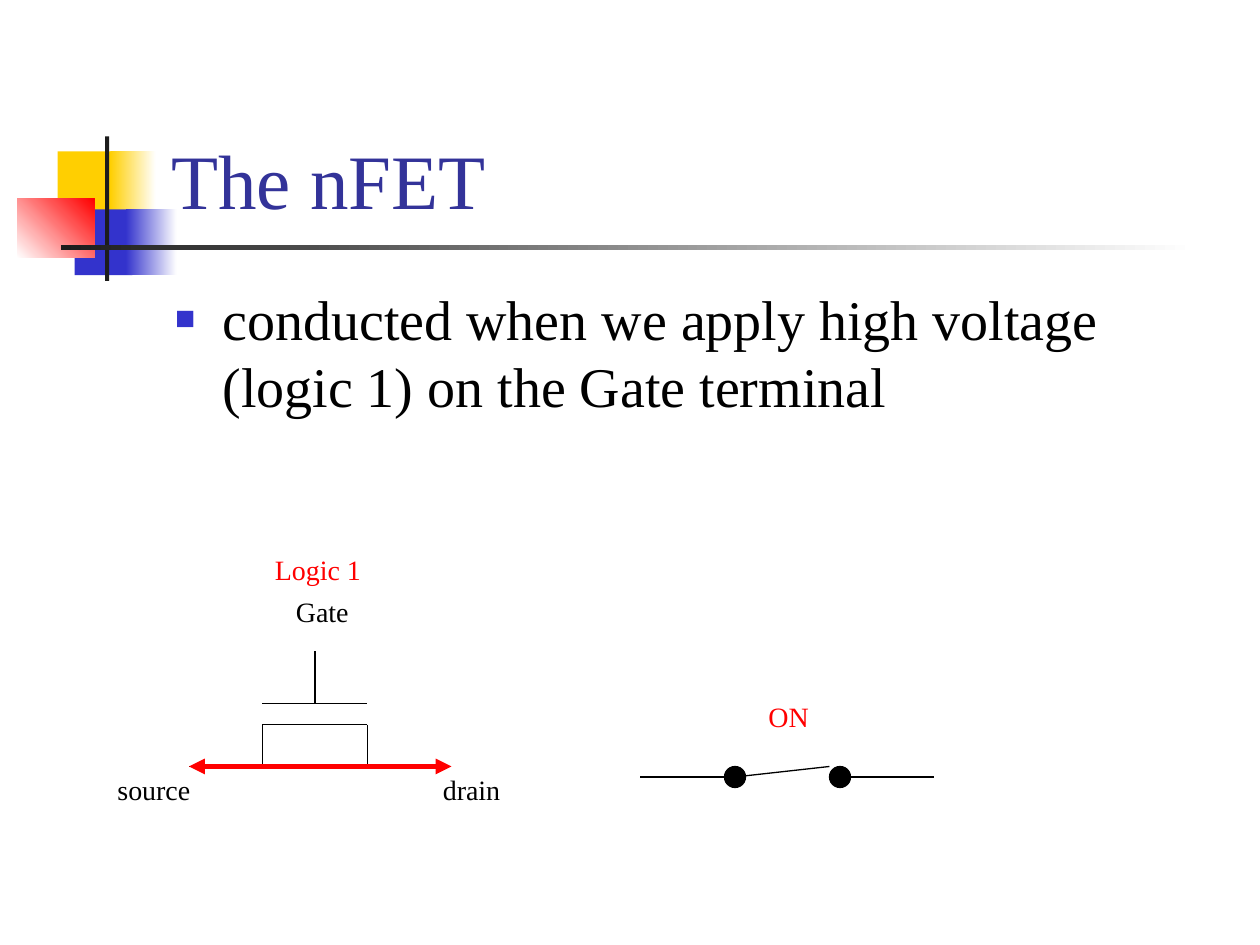
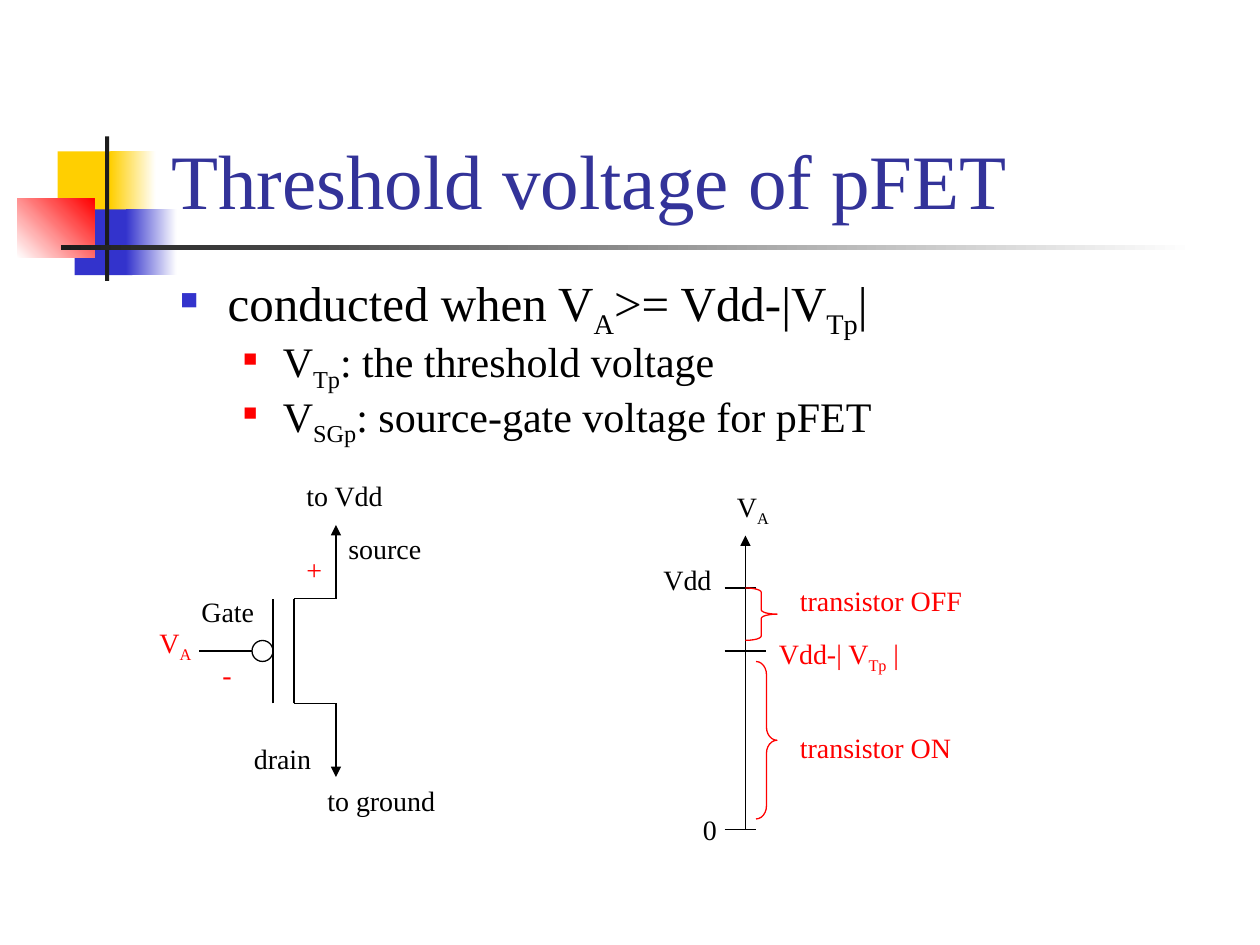
from lxml.etree import SubElement
from pptx import Presentation
from pptx.dml.color import RGBColor
from pptx.enum.shapes import MSO_CONNECTOR, MSO_SHAPE
from pptx.enum.text import MSO_ANCHOR, MSO_AUTO_SIZE
from pptx.oxml.ns import qn
from pptx.util import Pt

FONT = "Times New Roman"
COLORS = {
    "title": "333399",
    "text": "000000",
    "signal": "FF0000",
    "yellow": "FFCF01",
    "blue": "3333CC",
    "red": "FF0000",
    "bar": "1C1C1C",
    "paper": "FFFFFF",
}
BULLETS = [("blue", 60, 27, 27), ("red", 55, 58.5, 22.5)]


def rgb(name):
    return RGBColor.from_string(COLORS[name])


def add_block(slide, box, start, end=None, angle=0):
    block = slide.shapes.add_shape(MSO_SHAPE.RECTANGLE, *map(Pt, box))
    block.shadow.inherit = False
    block.line.fill.background()
    if end is None:
        block.fill.solid()
        block.fill.fore_color.rgb = rgb(start)
        return
    block.fill.gradient()
    block.fill.gradient_angle = angle
    for stop, color, position in zip(block.fill.gradient_stops, (start, end), (0, 1)):
        stop.color.rgb = rgb(color)
        stop.position = position


def add_outline(slide, kind, box, color="text", fill=None, adjustments=()):
    outline = slide.shapes.add_shape(kind, *map(Pt, box))
    outline.shadow.inherit = False
    outline.line.color.rgb = rgb(color)
    outline.line.width = Pt(0.75)
    if fill:
        outline.fill.solid()
        outline.fill.fore_color.rgb = rgb(fill)
    else:
        outline.fill.background()
    for index, value in enumerate(adjustments):
        outline.adjustments[index] = value


def add_wire(slide, left, top, ends, color="text", width=0.75, arrows=()):
    x1, y1, x2, y2 = ends
    wire = slide.shapes.add_connector(
        MSO_CONNECTOR.STRAIGHT, Pt(left + x1), Pt(top + y1), Pt(left + x2), Pt(top + y2)
    )
    wire.line.color.rgb = rgb(color)
    wire.line.width = Pt(width)
    stroke = wire.line._get_or_add_ln()
    for arrow in arrows:
        SubElement(stroke, qn(f"a:{arrow}"), type="triangle")
    SubElement(wire._element.spPr, qn("a:effectLst"))


def write(paragraph, text, size, color):
    for index, part in enumerate(text.split("~")):
        run = paragraph.add_run()
        run.text = part
        if index % 2:
            run._r.get_or_add_rPr().set("baseline", "-25000")
    paragraph.font.name = FONT
    paragraph.font.size = Pt(size)
    paragraph.font.color.rgb = rgb(color)


def add_label(slide, left, top, label):
    x, y, width, text, color = label
    frame = slide.shapes.add_textbox(Pt(left + x), Pt(top + y), Pt(width), Pt(26.6)).text_frame
    frame.word_wrap = False
    frame.auto_size = MSO_AUTO_SIZE.SHAPE_TO_FIT_TEXT
    write(frame.paragraphs[0], text, 16, color)


def add_decoration(slide):
    add_block(slide, (33, 86.5, 34.5, 37.5), "yellow")
    add_block(slide, (63, 86.5, 26, 37.5), "yellow", "paper")
    add_block(slide, (42.7, 119.7, 33, 37.5), "blue")
    add_block(slide, (72, 119.7, 29, 37.5), "blue", "paper")
    add_block(slide, (9.8, 113.6, 44.2, 33.6), "paper", "red", 45)
    add_block(slide, (60, 78, 2.4, 82.5), "bar")
    add_block(slide, (34.8, 140.2, 648, 2.5), "bar", "paper")


def add_title(slide, box, text):
    frame = slide.shapes.add_textbox(*map(Pt, box)).text_frame
    frame.word_wrap = True
    frame.vertical_anchor = MSO_ANCHOR.BOTTOM
    write(frame.paragraphs[0], text, 44, "title")


def add_points(slide, box, points, line_spacing=None):
    frame = slide.shapes.add_textbox(*map(Pt, box)).text_frame
    frame.word_wrap = True
    for index, (level, size, text) in enumerate(points):
        paragraph = frame.add_paragraph() if index else frame.paragraphs[0]
        color, percent, margin, hang = BULLETS[level]
        properties = paragraph._p.get_or_add_pPr()
        properties.set("marL", str(Pt(margin)))
        properties.set("indent", str(-Pt(hang)))
        bullet_color = SubElement(properties, qn("a:buClr"))
        SubElement(bullet_color, qn("a:srgbClr"), val=COLORS[color])
        SubElement(properties, qn("a:buSzPct"), val=str(percent * 1000))
        SubElement(properties, qn("a:buFont"), typeface=FONT)
        SubElement(properties, qn("a:buChar"), char="■")
        paragraph.level = level
        if line_spacing:
            paragraph.line_spacing = line_spacing
        if index:
            paragraph.space_before = Pt(size * 0.2)
        write(paragraph, text, size, "text")


def add_nfet(slide, left, top):
    for ends in (
        (90, 90, 150, 90),
        (90, 102, 150, 102),
        (90, 102, 90, 126),
        (150, 102, 150, 126),
        (90, 126, 48, 126),
        (192, 126, 150, 126),
        (120, 90, 120, 60),
    ):
        add_wire(slide, left, top, ends)
    for label in (
        (102, 24, 44.6, "Gate", "text"),
        (0, 126, 56.2, "source", "text"),
        (186, 126, 47.5, "drain", "text"),
        (90, 0, 64, "Logic 1", "signal"),
    ):
        add_label(slide, left, top, label)
    add_wire(slide, left, top, (48, 126, 198, 126), "signal", 3, ("headEnd", "tailEnd"))


def add_closed_switch(slide, left, top):
    for ends in ((0, 48, 48, 48), (120, 48, 168, 48), (54, 48, 108, 42)):
        add_wire(slide, left, top, ends)
    for x in (48, 108):
        add_outline(slide, MSO_SHAPE.OVAL, (left + x, top + 42, 12, 12), fill="text")
    add_label(slide, left, top, (66, 0, 37.4, "ON", "signal"))


def add_pfet(slide, left, top):
    for ends in (
        (72, 132, 72, 72),
        (84, 132, 84, 72),
        (84, 132, 108, 132),
        (84, 72, 108, 72),
        (60, 102, 30, 102),
    ):
        add_wire(slide, left, top, ends)
    add_wire(slide, left, top, (108, 132, 108, 174), arrows=["tailEnd"])
    add_wire(slide, left, top, (108, 30, 108, 72), arrows=["headEnd"])
    add_outline(slide, MSO_SHAPE.OVAL, (left + 60, top + 96, 12, 12))
    for label in (
        (0, 84, 33.8, "V~A", "signal"),
        (84, 42, 23.8, "+", "signal"),
        (36, 102, 20.2, "-", "signal"),
        (24, 66, 44.6, "Gate", "text"),
        (54, 150, 47.5, "drain", "text"),
        (108, 30, 56.2, "source", "text"),
        (84, 0, 58.3, "to Vdd", "text"),
        (96, 174, 76.3, "to ground", "text"),
    ):
        add_label(slide, left, top, label)


def add_voltage_axis(slide, left, top):
    add_wire(slide, left, top, (54, 198, 54, 30), arrows=["tailEnd"])
    for y, end in ((198, 60), (60, 60), (96, 66)):
        add_wire(slide, left, top, (42, y, end, y))
    for x, y, width, height, curve in ((60, 102, 12, 90, 0.625), (54, 60, 18, 30, 0.139)):
        add_outline(
            slide, MSO_SHAPE.RIGHT_BRACE, (left + x, top + y, width, height),
            "signal", adjustments=(curve, 0.5),
        )
    for label in (
        (42, 0, 33.8, "V~A", "text"),
        (0, 42, 41.8, "Vdd", "text"),
        (22.6, 184.8, 22.3, "0", "text"),
        (66, 84, 85.7, "Vdd-| V~Tp~ |", "signal"),
        (78, 138, 101.5, "transistor ON", "signal"),
        (78, 54, 107.3, "transistor OFF", "signal"),
    ):
        add_label(slide, left, top, label)


def add_page(deck, title):
    slide = deck.slides.add_slide(deck.slide_layouts[6])
    add_decoration(slide)
    add_title(slide, (90.7, 16.6, 613.4, 115.2), title)
    return slide


def main():
    deck = Presentation()
    deck.slide_width, deck.slide_height = Pt(720), Pt(540)

    nfet = add_page(deck, "The nFET")
    add_points(nfet, (93, 159, 612, 129), [
        (0, 32, "conducted when we apply high voltage (logic 1) on the Gate terminal"),
    ])
    add_nfet(nfet, 60, 312)
    add_closed_switch(nfet, 366, 396)

    threshold = add_page(deck, "Threshold voltage of pFET")
    add_points(threshold, (96, 156, 612, 96), [
        (0, 28, "conducted when V~A~>= Vdd-|V~Tp~|"),
        (1, 24, "V~Tp~: the threshold voltage"),
        (1, 24, "V~SGp~: source-gate voltage for pFET"),
    ], 0.8)
    add_pfet(threshold, 84, 270)
    add_voltage_axis(threshold, 372, 276)

    deck.save("out.pptx")


if __name__ == "__main__":
    main()
